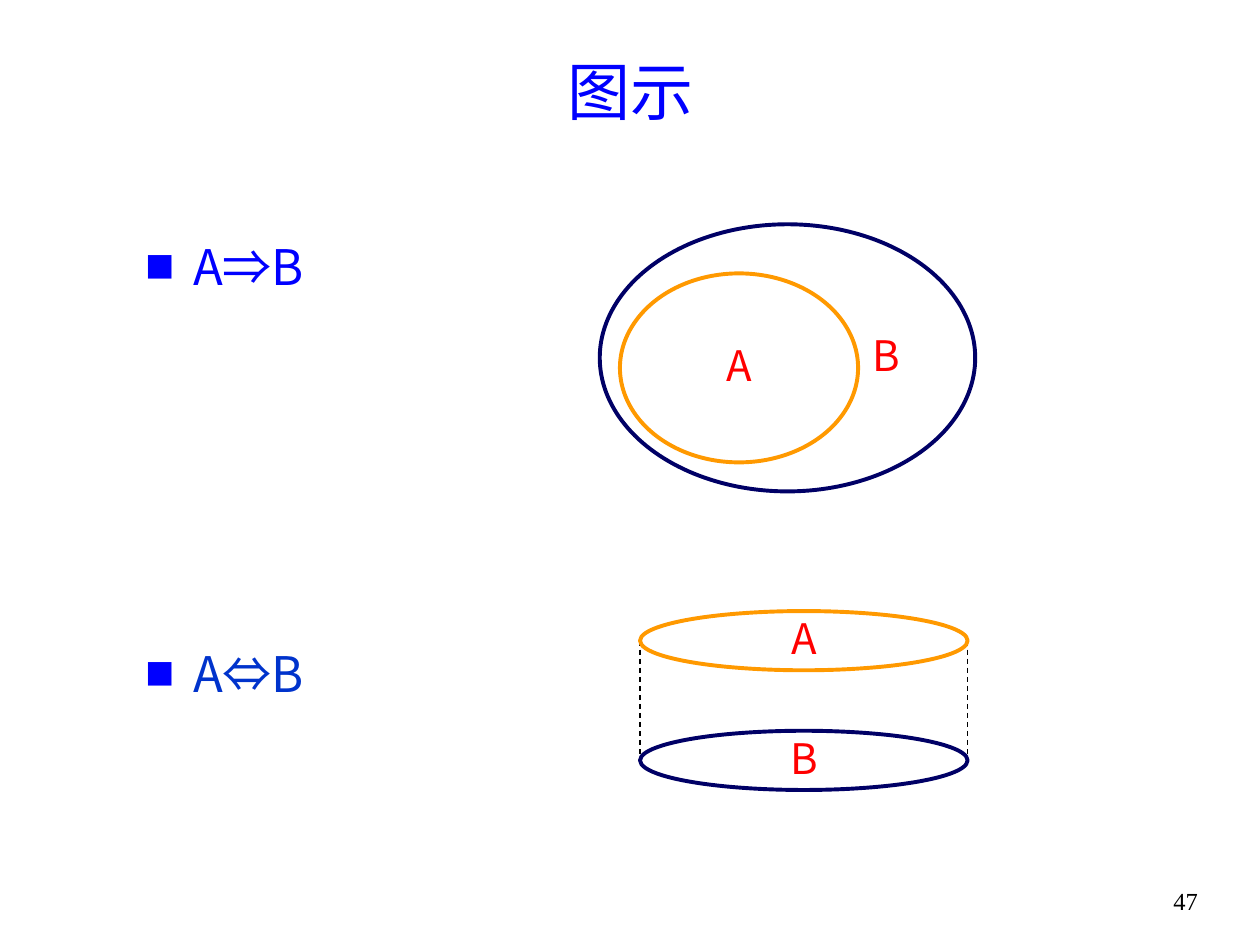
from typing import NamedTuple

from lxml import etree
from pptx import Presentation
from pptx import util as u
from pptx.dml.color import RGBColor
from pptx.enum import dml, shapes, text
from pptx.oxml.ns import qn

COLS, ROWS = 100, 75
SANS, SERIF = "Noto Sans CJK SC", "Times New Roman"
HEX = {"blue": "0000FF", "royal": "0033CC", "red": "FF0000",
       "navy": "000066", "gold": "FF9900", "black": "000000"}
MID = text.PP_ALIGN.CENTER
FLUSH = {"margin_left": 0, "margin_right": 0, "margin_top": 0,
         "margin_bottom": 0, "vertical_anchor": text.MSO_ANCHOR.MIDDLE}
ITEM = {"line_spacing": 1.1, "space_before": u.Pt(5.6), "space_after": u.Pt(6)}


class Box(NamedTuple):
    col: float
    row: float
    wide: float
    high: float


class Oval(NamedTuple):
    name: str
    box: Box
    line: str
    align: text.PP_ALIGN = MID
    inset: float = 0


class Item(NamedTuple):
    words: str
    row: float
    color: str


RIM = {"col": 50.8, "wide": 26, "high": 4.7}
TOP, BASE = Box(row=48.5, **RIM), Box(row=58, **RIM)
OVALS = [
    Oval("A", Box(49.2, 21.7, 18.9, 15), "gold"),
    Oval("B", Box(47.6, 17.8, 29.8, 21.2), "navy", text.PP_ALIGN.RIGHT, 1.6),
    Oval("A", TOP, "gold"),
    Oval("B", BASE, "navy"),
]
ITEMS = [Item("A⇒B", 17.8, "blue"), Item("A⇔B", 50.1, "royal")]

deck = Presentation()
deck.slide_width, deck.slide_height = u.Inches(10), u.Inches(7.5)
slide = deck.slides.add_slide(deck.slide_layouts[5])


def across(cols: float) -> int:
    return round(deck.slide_width * cols / COLS)


def down(rows: float) -> int:
    return round(deck.slide_height * rows / ROWS)


def place(box: Box) -> tuple:
    return across(box.col), down(box.row), across(box.wide), down(box.high)


def apply(thing, values: dict) -> None:
    for name, value in values.items():
        setattr(thing, name, value)


def tint(color: str) -> RGBColor:
    return RGBColor.from_string(HEX[color])


def write(frame, words: str, size: float, color: str, face: str = SANS, **form):
    para = frame.paragraphs[0]
    apply(para, form)
    run = para.add_run()
    run.text = words
    apply(run.font, {"size": u.Pt(size), "name": face, "bold": False})
    run.font.color.rgb = tint(color)
    for tag in ("a:ea", "a:sym"):
        etree.SubElement(run.font._element, qn(tag), typeface=face)
    return para


def draw_text(box: Box):
    frame = slide.shapes.add_textbox(*place(box)).text_frame
    frame.word_wrap = True
    return frame


def draw_item(item: Item) -> None:
    frame = draw_text(Box(10.6, item.row, 19.7, 6.3))
    props = write(frame, item.words, 28, item.color, **ITEM)._p.get_or_add_pPr()
    hang = across(3.75)
    props.set("marL", str(hang))
    props.set("indent", str(-hang))
    ink = etree.SubElement(props, qn("a:buClr"))
    etree.SubElement(ink, qn("a:srgbClr"), val=HEX["blue"])
    etree.SubElement(props, qn("a:buSzPct"), val="60000")
    etree.SubElement(props, qn("a:buFont"), typeface=SANS)
    etree.SubElement(props, qn("a:buChar"), char="■")


def draw_oval(oval: Oval) -> None:
    shape = slide.shapes.add_shape(shapes.MSO_SHAPE.OVAL, *place(oval.box))
    shape.shadow.inherit = False
    shape.fill.background()
    shape.line.color.rgb = tint(oval.line)
    shape.line.width = u.Pt(2.25)
    apply(shape.text_frame, FLUSH | {"margin_right": across(oval.inset)})
    write(shape.text_frame, oval.name, 24, "red",
          alignment=oval.align, line_spacing=0.9)


def draw_side(col: float) -> None:
    first, last = (down(rim.row + rim.high / 2) for rim in (TOP, BASE))
    side = slide.shapes.add_connector(
        shapes.MSO_CONNECTOR.STRAIGHT, across(col), first, across(col), last)
    side.line.color.rgb = tint("black")
    apply(side.line, {"width": u.Pt(0.75), "dash_style": dml.MSO_LINE.DASH})
    etree.SubElement(side._element.spPr, qn("a:effectLst"))


title = slide.shapes.title
apply(title, dict(zip(("left", "top", "width", "height"),
                      place(Box(7.5, 3.6, 85, 7.1)))))
title.text_frame.vertical_anchor = text.MSO_ANCHOR.MIDDLE
write(title.text_frame, "图示", 36, "blue", alignment=MID)

for col in (TOP.col, TOP.col + TOP.wide):
    draw_side(col)
for oval in OVALS:
    draw_oval(oval)
for item in ITEMS:
    draw_item(item)
write(draw_text(Box(89.4, 69.8, 9.4, 3.5)), "47", 14, "black", SERIF, alignment=MID)

deck.save("out.pptx")
